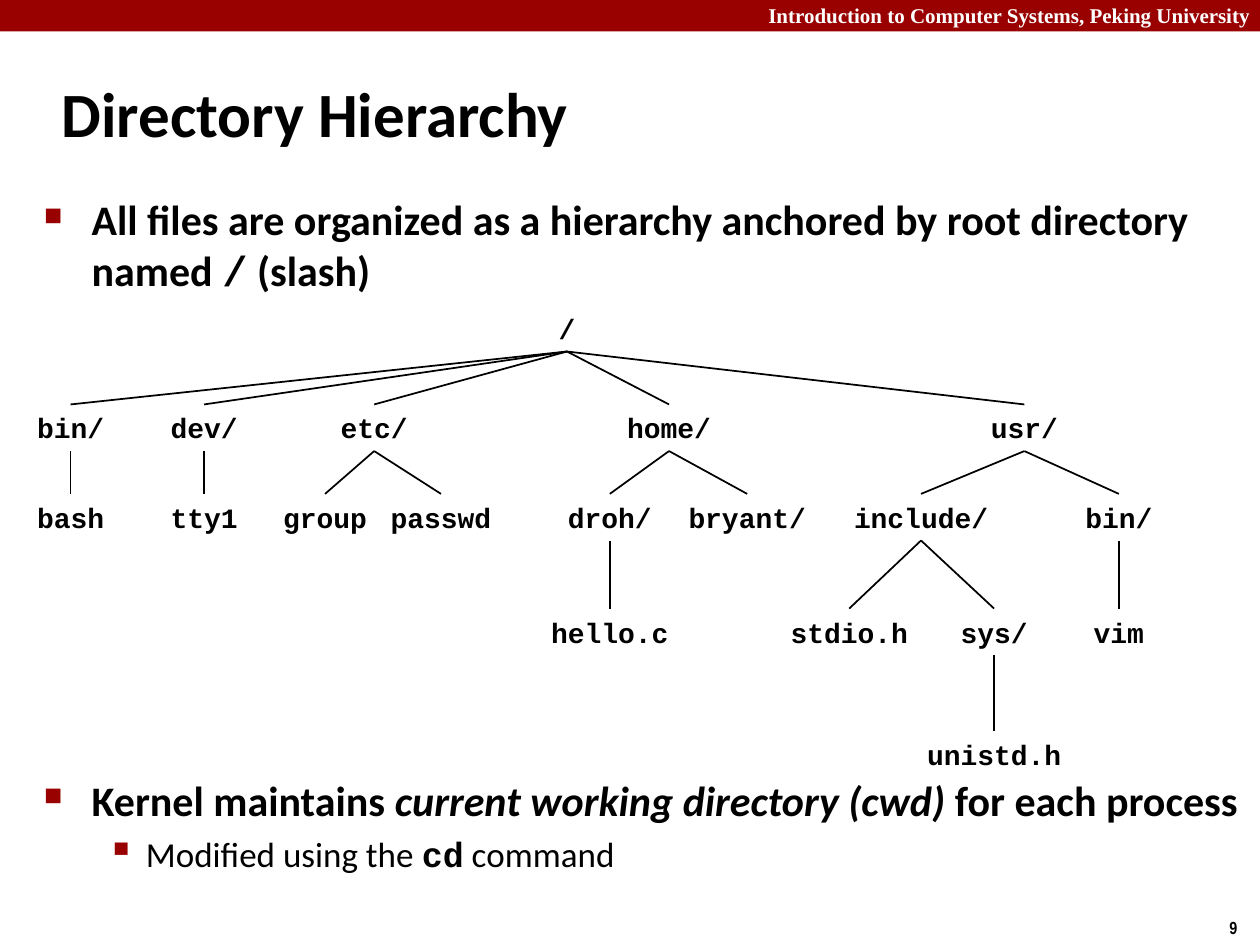
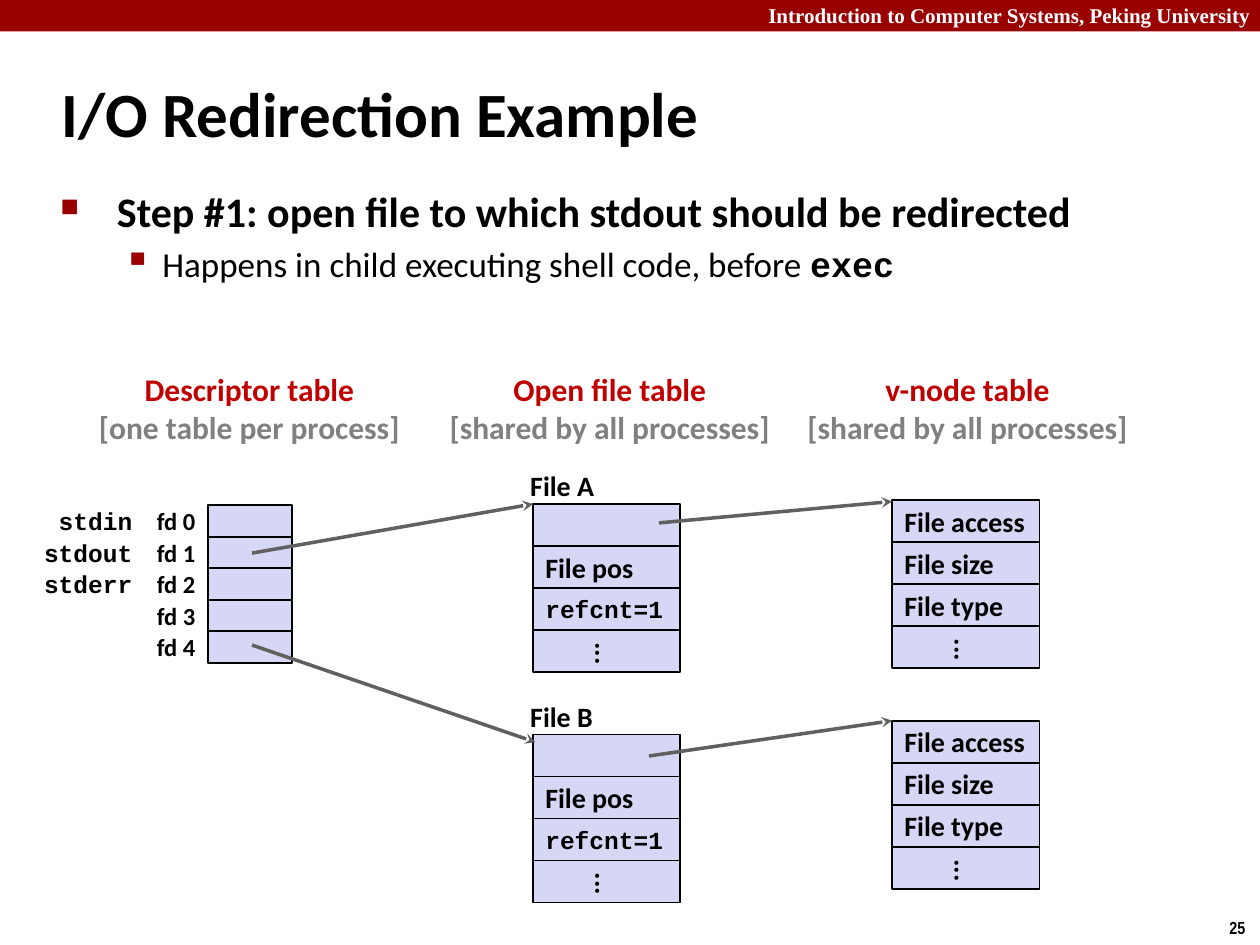
"""Build two slides on the directory tree and on I/O redirection."""
from dataclasses import dataclass
from typing import Any, NamedTuple

import pptx
import pptx.dml.color
import pptx.enum.shapes
import pptx.enum.text
import pptx.oxml.ns
import pptx.util
from lxml import etree
from pptx.util import Inches

ALIGN = pptx.enum.text.PP_ALIGN
ANCHOR = pptx.enum.text.MSO_ANCHOR
SHAPE = pptx.enum.shapes.MSO_SHAPE
qn = pptx.oxml.ns.qn


class Style(NamedTuple):
    font: str
    size: int
    color: str = "000000"
    bold: bool = True


@dataclass(frozen=True)
class Theme:
    band: str = "990000"
    cell: str = "D6D6F5"
    edge: str = "000000"
    arrow: str = "606060"
    title: Style = Style("Calibri", 36)
    course: Style = Style("Times New Roman", 12, "FFFFFF")
    page: Style = Style("Arial Narrow", 10)
    point: Style = Style("Calibri", 24)
    sub: Style = Style("Calibri", 20, bold=False)
    node: Style = Style("Courier New", 16)
    code: Style = Style("Courier New", 14)
    label: Style = Style("Calibri", 16)
    small: Style = Style("Calibri", 14)
    head: Style = Style("Calibri", 18, "C00000")
    note: Style = Style("Calibri", 18, "808080")


THEME = Theme()


class Box(NamedTuple):
    x: float
    y: float
    w: float
    h: float

    def place(self) -> tuple:
        return tuple(Inches(n) for n in self)


class Line(NamedTuple):
    text: str
    style: Style


class Bit(NamedTuple):
    text: str
    code: bool = False
    slant: bool = False


class Point(NamedTuple):
    bits: tuple[Bit, ...]
    level: int = 0
    hang: float = 0.38


class Node(NamedTuple):
    name: str
    x: float
    kids: tuple["Node", ...] = ()


class Cell(NamedTuple):
    text: str = ""
    style: Style = THEME.label
    down: bool = False


class Stack(NamedTuple):
    top: Box
    cells: tuple[Cell, ...]


class Arrow(NamedTuple):
    x1: float
    y1: float
    x2: float
    y2: float


class Head(NamedTuple):
    mid: float
    name: str
    note: str


TIERS = (2.42, 3.21, 3.92, 4.83, 5.8)
NODE_H = 0.37
TREE = Node("/", 4.5, (
    Node("bin/", 0.56, (Node("bash", 0.56),)),
    Node("dev/", 1.62, (Node("tty1", 1.62),)),
    Node("etc/", 2.97, (Node("group", 2.58), Node("passwd", 3.5))),
    Node("home/", 5.31, (
        Node("droh/", 4.84, (Node("hello.c", 4.84),)),
        Node("bryant/", 5.93))),
    Node("usr/", 8.13, (
        Node("include/", 7.31, (
            Node("stdio.h", 6.74),
            Node("sys/", 7.89, (Node("unistd.h", 7.89),)))),
        Node("bin/", 8.88, (Node("vim", 8.88),)))),
))

ROOT = (Point((
    Bit("All files are organized as a hierarchy anchored by root directory named "),
    Bit("/", code=True), Bit(" (slash)"))),)
CWD = (
    Point((Bit("Kernel maintains "),
           Bit("current working directory (cwd) ", slant=True),
           Bit("for each process"))),
    Point((Bit("Modified using the "), Bit("cd", code=True),
           Bit(" command")), 1),
)
STEP = (
    Point((Bit("Step #1: open file to which stdout should be redirected"),),
          hang=0.45),
    Point((Bit("Happens in child executing shell code, before "),
           Bit("exec", code=True)), 1),
)

SHARED = "[shared by all processes]"
HEADS = (
    Head(1.98, "Descriptor table", "[one table per process]"),
    Head(4.84, "Open file table", SHARED),
    Head(7.68, "v-node table", SHARED),
)
FD = Box(1.65, 4.01, 0.67, 0.25)
FD_COUNT = 5
DOTS = Cell("...", down=True)
OPEN = (Cell(), Cell("File pos"), Cell("refcnt=1", THEME.code), DOTS)
VNODE = (Cell("File access"), Cell("File size"), Cell("File type"), DOTS)
ROW = 1 / 3
STACKS = (
    Stack(FD, (Cell(),) * FD_COUNT),
    Stack(Box(4.23, 4, 1.17, ROW), OPEN),
    Stack(Box(7.08, 3.97, 1.17, ROW), VNODE),
    Stack(Box(4.23, 5.83, 1.17, ROW), OPEN),
    Stack(Box(7.08, 5.72, 1.17, ROW), VNODE),
)
ARROWS = (
    Arrow(2, 4.39, 4.23, 4),
    Arrow(5.23, 4.15, 7.08, 3.98),
    Arrow(2, 5.12, 4.25, 5.89),
    Arrow(5.15, 6, 7.08, 5.72),
)


def rgb(code: str) -> pptx.dml.color.RGBColor:
    return pptx.dml.color.RGBColor.from_string(code)


def set_font(font: Any, style: Style) -> None:
    font.name, font.size = style.font, pptx.util.Pt(style.size)
    font.bold, font.color.rgb = style.bold, rgb(style.color)


def write(frame: Any, lines: tuple[Line, ...], align: Any = ALIGN.LEFT,
          wrap: bool = False) -> None:
    frame.word_wrap = wrap
    for i, line in enumerate(lines):
        para = frame.add_paragraph() if i else frame.paragraphs[0]
        para.text, para.alignment = line.text, align
        set_font(para.font, line.style)


def add_text(slide: Any, box: Box, *lines: Line, align: Any = ALIGN.LEFT,
             anchor: Any = ANCHOR.MIDDLE, wrap: bool = False) -> None:
    frame = slide.shapes.add_textbox(*box.place()).text_frame
    frame.vertical_anchor = anchor
    write(frame, lines, align, wrap)


def add_rect(slide: Any, box: Box, fill: str) -> Any:
    rect = slide.shapes.add_shape(SHAPE.RECTANGLE, *box.place())
    rect.shadow.inherit = False
    rect.fill.solid()
    rect.fill.fore_color.rgb = rgb(fill)
    rect.line.fill.background()
    return rect


def add_line(slide: Any, ends: Arrow, color: str, width: float,
             tip: bool = False) -> None:
    line = slide.shapes.add_connector(
        pptx.enum.shapes.MSO_CONNECTOR.STRAIGHT, *(Inches(n) for n in ends))
    line.line.color.rgb = rgb(color)
    line.line.width = pptx.util.Pt(width)
    props = line._element.spPr
    if tip:
        etree.SubElement(props.find(qn("a:ln")), qn("a:tailEnd"), type="stealth")
    etree.SubElement(props, qn("a:effectLst"))


def add_bullet(para: Any, point: Point) -> None:
    left, hang, size, mark = ((0.81, 0.31, 110, "▪") if point.level
                              else (point.hang, point.hang, 60, "■"))
    props = para._p.get_or_add_pPr()
    props.set("marL", str(Inches(left)))
    props.set("indent", str(-Inches(hang)))
    tint = etree.SubElement(props, qn("a:buClr"))
    etree.SubElement(tint, qn("a:srgbClr"), val=THEME.band)
    etree.SubElement(props, qn("a:buSzPct"), val=str(size * 1000))
    etree.SubElement(props, qn("a:buChar"), char=mark)


def add_points(slide: Any, box: Box, points: tuple[Point, ...]) -> None:
    frame = slide.shapes.add_textbox(*box.place()).text_frame
    frame.word_wrap = True
    for i, point in enumerate(points):
        para = frame.add_paragraph() if i else frame.paragraphs[0]
        para.level = point.level
        add_bullet(para, point)
        if i:
            para.space_before = pptx.util.Pt(4)
        set_font(para.font, THEME.sub if point.level else THEME.point)
        for bit in point.bits:
            run = para.add_run()
            run.text = bit.text
            if bit.code:
                run.font.name, run.font.bold = THEME.code.font, True
            if bit.slant:
                run.font.italic = True


def add_slide(deck: Any, title: str, page: int) -> Any:
    slide = deck.slides.add_slide(deck.slide_layouts[5])
    add_rect(slide, Box(0, 0, 10, 0.25), THEME.band)
    add_text(slide, Box(6, -0.03, 4.07, 0.3), Line(
        "Introduction to Computer Systems, Peking University", THEME.course),
        wrap=True)
    add_text(slide, Box(9.66, 7.23, 0.34, 0.27), Line(str(page), THEME.page))
    head = slide.shapes.title
    head.left, head.top, head.width, head.height = Box(
        0.39, 0.48, 8.3, 0.83).place()
    head.text_frame.vertical_anchor = ANCHOR.MIDDLE
    head.text_frame.auto_size = pptx.enum.text.MSO_AUTO_SIZE.NONE
    write(head.text_frame, (Line(title, THEME.title),), wrap=True)
    return slide


def add_tree(slide: Any, node: Node, tier: int = 0) -> None:
    top, width = TIERS[tier], 0.2 + len(node.name) * 2 / 15
    add_text(slide, Box(node.x - width / 2, top, width, NODE_H),
             Line(node.name, THEME.node), align=ALIGN.CENTER)
    for kid in node.kids:
        add_line(slide, Arrow(node.x, top + NODE_H, kid.x, TIERS[tier + 1]),
                 THEME.edge, 1)
        add_tree(slide, kid, tier + 1)


def add_stack(slide: Any, stack: Stack) -> None:
    top = stack.top
    for i, cell in enumerate(stack.cells):
        rect = add_rect(slide, top._replace(y=top.y + i * top.h), THEME.cell)
        rect.line.color.rgb = rgb(THEME.edge)
        rect.line.width = pptx.util.Pt(1)
        if cell.text:
            write(rect.text_frame, (Line(cell.text, cell.style),))
        if cell.down:
            rect.text_frame._txBody.bodyPr.set("vert", "eaVert")


def draw_tree(deck: Any) -> None:
    slide = add_slide(deck, "Directory Hierarchy", 9)
    add_points(slide, Box(0.25, 1.49, 9.73, 0.92), ROOT)
    add_points(slide, Box(0.25, 6.1, 9.73, 0.9), CWD)
    add_tree(slide, TREE)


def draw_tables(deck: Any) -> None:
    slide = add_slide(deck, "I/O Redirection Example", 25)
    add_points(slide, Box(0.38, 1.42, 9.35, 1.08), STEP)
    for head in HEADS:
        add_text(slide, Box(head.mid - 1.38, 2.88, 2.76, 0.71),
                 Line(head.name, THEME.head), Line(head.note, THEME.note),
                 align=ALIGN.CENTER)
    for stack in STACKS:
        add_stack(slide, stack)
    for i in range(FD_COUNT):
        add_text(slide, Box(FD.x - FD.w, FD.y + i * FD.h, FD.w, FD.h),
                 Line(f"fd {i}", THEME.small), align=ALIGN.RIGHT)
    for i, name in enumerate(("stdin", "stdout", "stderr")):
        add_text(slide, Box(0.25, 3.97 + i * FD.h, 0.9, 0.33),
                 Line(name, THEME.code), align=ALIGN.RIGHT)
    for name, top in (("File A", 3.67), ("File B", 5.5)):
        add_text(slide, Box(4.11, top, 0.71, 0.37), Line(name, THEME.label))
    for arrow in ARROWS:
        add_line(slide, arrow, THEME.arrow, 2, tip=True)


def main() -> None:
    deck = pptx.Presentation()
    deck.slide_width, deck.slide_height = Inches(10), Inches(7.5)
    draw_tree(deck)
    draw_tables(deck)
    deck.save("out.pptx")


if __name__ == "__main__":
    main()
